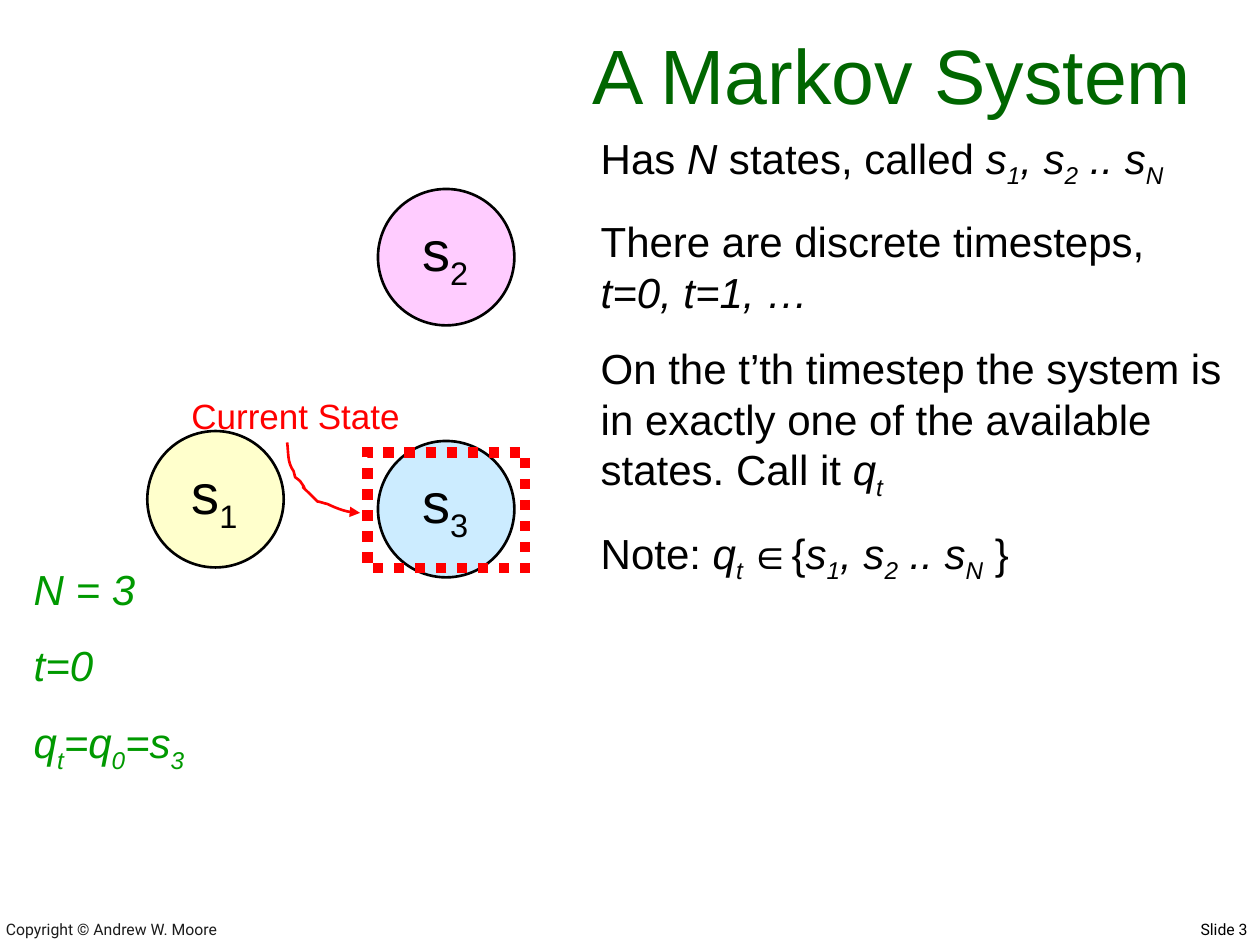
import dataclasses

import pptx
import pptx.dml.color
import pptx.enum.dml
import pptx.enum.shapes
import pptx.enum.text
import pptx.oxml
import pptx.oxml.ns
import pptx.util

Cm = pptx.util.Cm
Pt = pptx.util.Pt
ALIGN = pptx.enum.text.PP_ALIGN
ANCHOR = pptx.enum.text.MSO_ANCHOR
SHAPE = pptx.enum.shapes.MSO_SHAPE


@dataclasses.dataclass(frozen=True)
class Theme:
    font: str = "Arial"
    footer_font: str = "Roboto"
    black: str = "000000"
    footer_grey: str = "1C1C1C"
    title_green: str = "006600"
    value_green: str = "009900"
    red: str = "FF0000"
    yellow: str = "FFFFCC"
    blue: str = "CCECFF"
    pink: str = "FFCCFF"
    title_size: int = 44
    state_size: int = 32
    body_size: int = 24
    label_size: int = 20
    footer_size: int = 9
    thin_line: float = 1.5
    marker_line: float = 6


THEME = Theme()
STATE_DIAMETER = 2.75

# Run styles: i = italic, _ = subscript
STATE_LIST = [("s", "i"), ("1", "i_"), (", s", "i"), ("2", "i_"),
              (" .. s", "i"), ("N", "i_")]
BODY = [
    [("Has ", ""), ("N", "i"), (" states, called ", ""), *STATE_LIST],
    [("There are discrete timesteps,", ""), ("\n", ""), ("t=0, t=1, …", "i")],
    [("On the t’th timestep the system is in exactly one of the available "
      "states. Call it ", ""), ("q", "i"), ("t", "i_")],
    [("Note: ", ""), ("q", "i"), ("t ", "i_"), ("∈{", ""), *STATE_LIST, (" }", "")],
]
VALUES = [
    [("N = 3", "i")],
    [("t=0", "i")],
    [("q", "i"), ("t", "i_"), ("=q", "i"), ("0", "i_"), ("=s", "i"), ("3", "i_")],
]
# Number, left, top, fill
STATES = [
    ("1", 2.97, 8.69, THEME.yellow),
    ("3", 7.62, 8.89, THEME.blue),
    ("2", 7.62, 3.81, THEME.pink),
]
# Start of the arrow, then two control points and an end point per curve
ARROW_START = (5.79, 8.92)
ARROW_CURVES = [
    ((5.82, 9.14), (5.79, 9.32), (5.92, 9.5)),
    ((5.97, 9.68), (5.92, 9.58), (6.05, 9.7)),
    ((6.32, 10.06), (5.82, 9.53), (6.4, 10.11)),
    ((6.43, 10.11), (6.58, 10.16), (6.6, 10.16)),
    ((6.81, 10.26), (7.01, 10.34), (7.26, 10.34)),
]


def rgb(color):
    return pptx.dml.color.RGBColor.from_string(color)


def add_text(shapes, box, paragraphs, size, color, font=THEME.font,
             align=ALIGN.LEFT, anchor=ANCHOR.TOP, gap=0):
    frame = shapes.add_textbox(*map(Cm, box)).text_frame
    frame.word_wrap = True
    frame.vertical_anchor = anchor
    for index, runs in enumerate(paragraphs):
        paragraph = frame.add_paragraph() if index else frame.paragraphs[0]
        paragraph.alignment = align
        if index:
            paragraph.space_before = Pt(gap)
        for text, style in runs:
            if text == "\n":
                paragraph.add_line_break()
                continue
            run = paragraph.add_run()
            run.text = text
            formats = {"name": font, "size": Pt(size), "italic": "i" in style}
            for name, value in formats.items():
                setattr(run.font, name, value)
            run.font.color.rgb = rgb(color)
            if "_" in style:
                run._r.get_or_add_rPr().set("baseline", "-25000")


def style_outline(shape, color, width, fill=None):
    shape.shadow.inherit = False
    if fill:
        shape.fill.solid()
        shape.fill.fore_color.rgb = rgb(fill)
    else:
        shape.fill.background()
    shape.line.color.rgb = rgb(color)
    shape.line.width = Pt(width)


def add_line_detail(shape, tag, attributes):
    shape.line._get_or_add_ln().append(pptx.oxml.parse_xml(
        f'<a:{tag} {pptx.oxml.ns.nsdecls("a")} {attributes}/>'))


def add_state(shapes, number, left, top, fill):
    circle = shapes.add_shape(SHAPE.OVAL, Cm(left), Cm(top),
                              Cm(STATE_DIAMETER), Cm(STATE_DIAMETER))
    style_outline(circle, THEME.black, THEME.thin_line, fill)
    add_text(shapes, (left + 0.64, top + 0.42, 1.9, 1.8),
             [[("s", ""), (number, "_")]], THEME.state_size, THEME.black)


def curve_points(start, curves, steps=8):
    points = [start]
    for first, second, end in curves:
        begin = points[-1]
        for step in range(1, steps + 1):
            t = step / steps
            weights = ((1 - t) ** 3, 3 * t * (1 - t) ** 2, 3 * t * t * (1 - t), t ** 3)
            points.append(tuple(
                sum(weight * value for weight, value in zip(weights, axis))
                for axis in zip(begin, first, second, end)))
    return [(Cm(x), Cm(y)) for x, y in points]


def add_curved_arrow(shapes, start, curves):
    points = curve_points(start, curves)
    builder = shapes.build_freeform(*points[0])
    builder.add_line_segments(points[1:], close=False)
    arrow = builder.convert_to_shape()
    style_outline(arrow, THEME.red, THEME.thin_line)
    add_line_detail(arrow, "tailEnd", 'type="triangle"')


def add_current_state(shapes):
    marker = shapes.add_shape(SHAPE.RECTANGLE, Cm(7.41), Cm(9.12), Cm(3.18), Cm(2.33))
    style_outline(marker, THEME.red, THEME.marker_line)
    marker.line.dash_style = pptx.enum.dml.MSO_LINE.ROUND_DOT
    add_line_detail(marker, "miter", 'lim="800000"')
    add_text(shapes, (3.36, 7.83, 5.2, 1.11), [[("Current State", "")]],
             THEME.label_size, THEME.red, align=ALIGN.CENTER, anchor=ANCHOR.MIDDLE)
    add_curved_arrow(shapes, ARROW_START, ARROW_CURVES)


def main():
    presentation = pptx.Presentation()
    presentation.slide_width = Cm(25.4)
    presentation.slide_height = Cm(19.05)
    slide = presentation.slides.add_slide(presentation.slide_layouts[6])
    shapes = slide.shapes

    # Footer
    add_text(shapes, (-0.13, 18.34, 14.1, 0.71), [[("Copyright © Andrew W. Moore", "")]],
             THEME.footer_size, THEME.footer_grey, THEME.footer_font,
             anchor=ANCHOR.BOTTOM)
    add_text(shapes, (15.44, 18.42, 9.96, 0.69), [[("Slide 3", "")]],
             THEME.footer_size, THEME.black, THEME.footer_font, align=ALIGN.RIGHT)

    # Title
    add_text(shapes, (11, 0.43, 13.97, 2.11), [[("A Markov System", "")]],
             THEME.title_size, THEME.title_green, align=ALIGN.CENTER,
             anchor=ANCHOR.BOTTOM)

    # States
    for state in STATES:
        add_state(shapes, *state)

    # Explanation and current values
    add_text(shapes, (11.86, 2.54, 13.13, 9.37), BODY,
             THEME.body_size, THEME.black, gap=15)
    add_text(shapes, (0.43, 11.23, 4.24, 4.5), VALUES,
             THEME.body_size, THEME.value_green, gap=15)

    # Marker of the current state
    add_current_state(shapes.add_group_shape().shapes)

    presentation.save("out.pptx")


if __name__ == "__main__":
    main()
